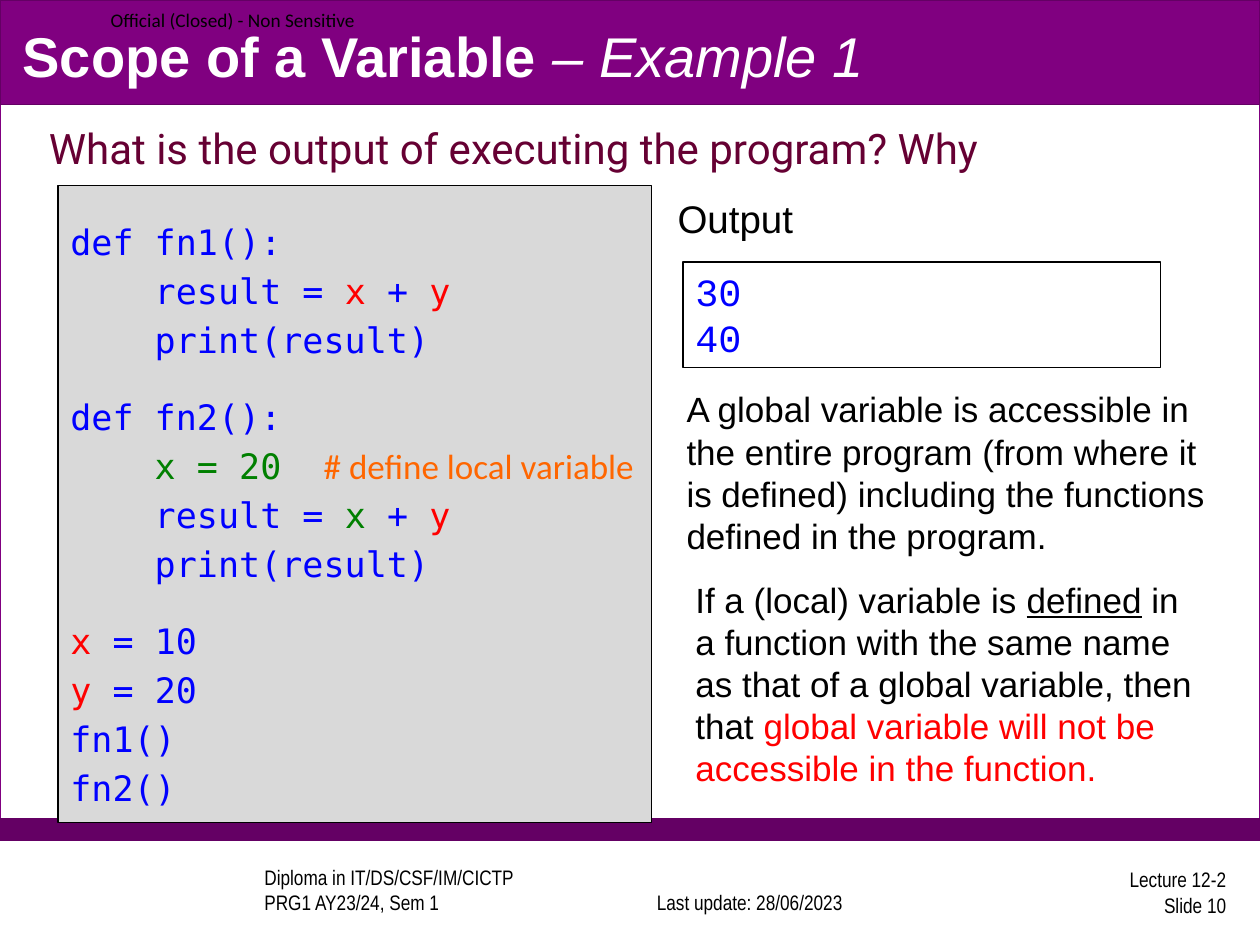
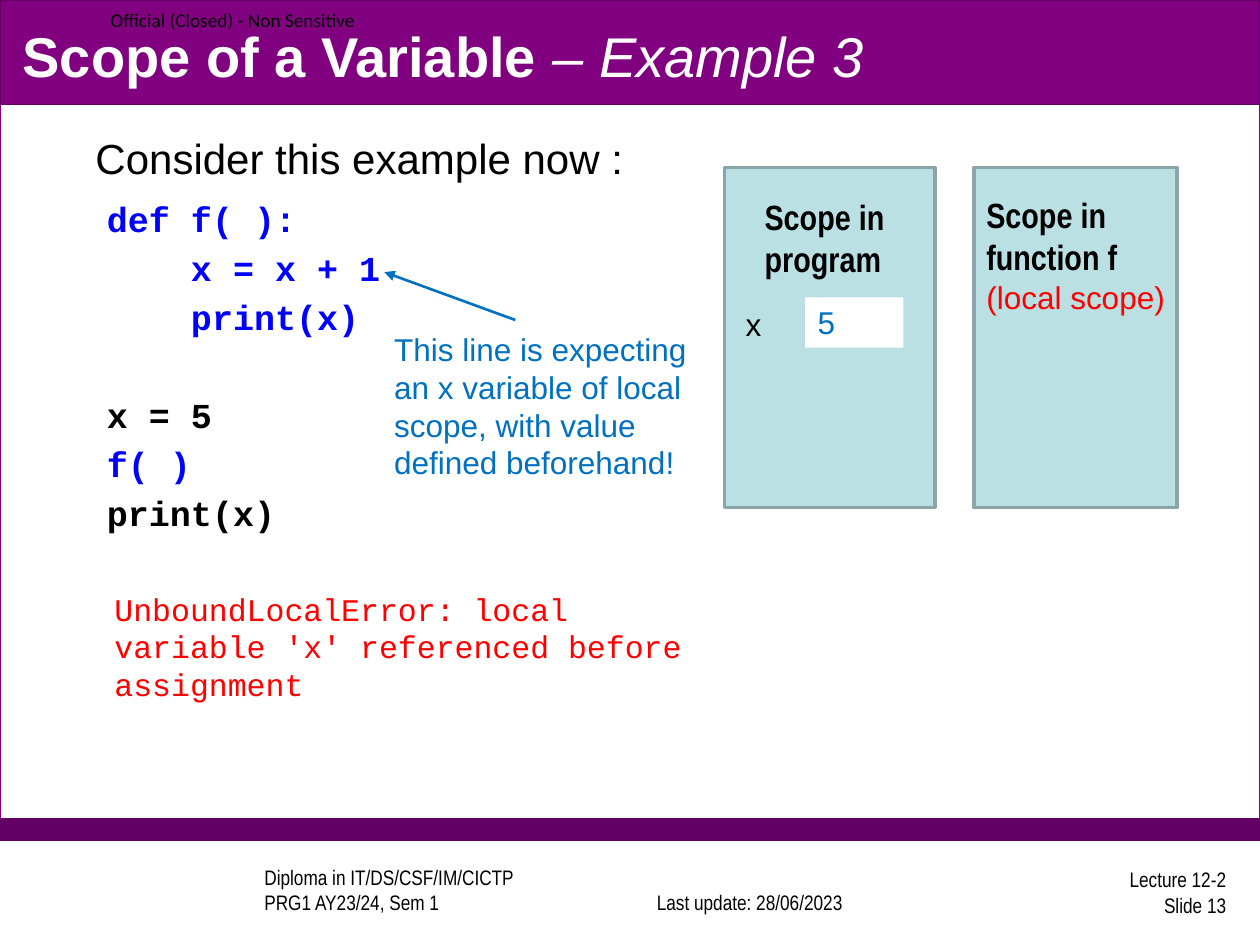
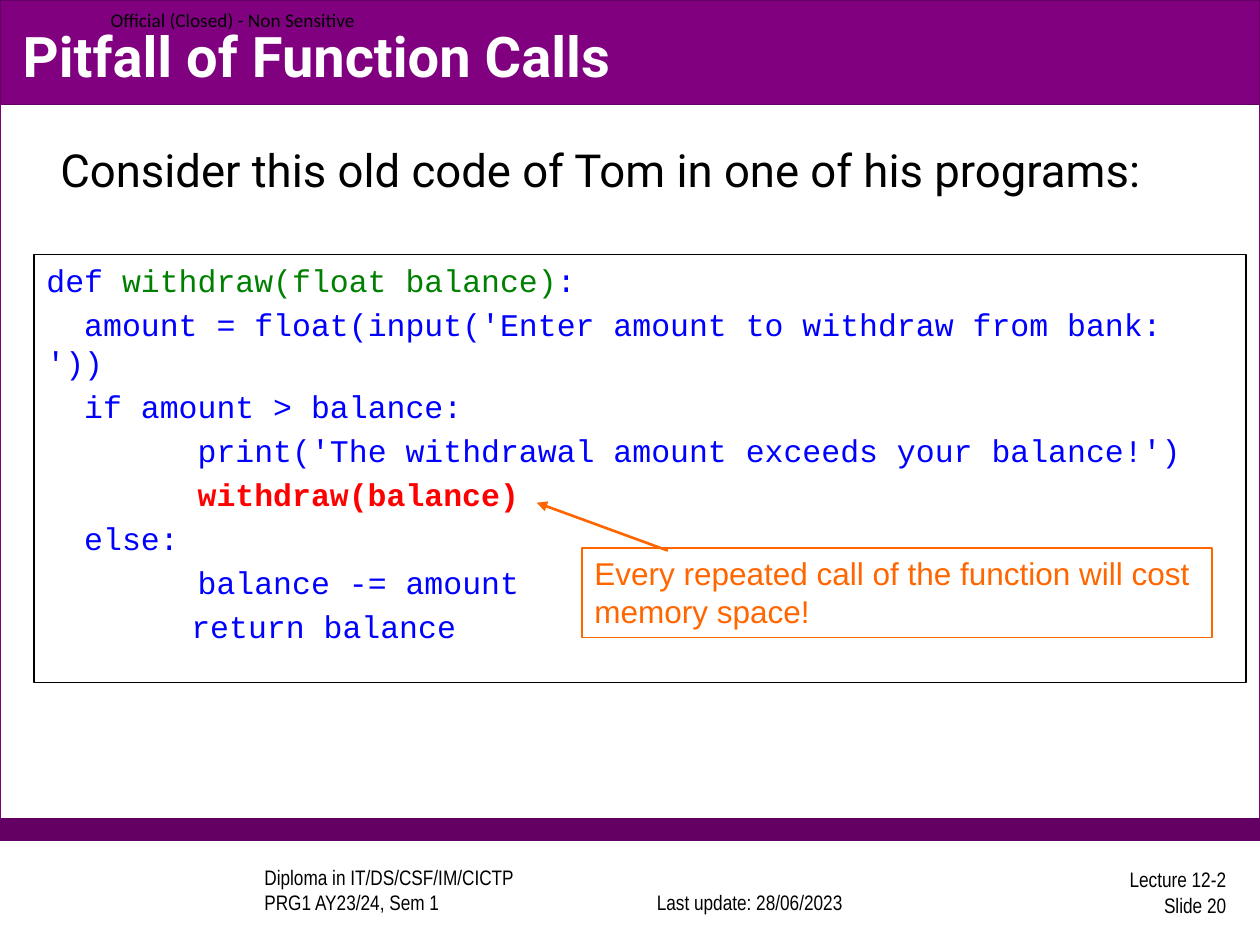
from lxml.etree import SubElement
from pptx import Presentation
from pptx.dml.color import RGBColor
from pptx.enum.shapes import MSO_CONNECTOR, MSO_SHAPE
from pptx.enum.text import MSO_ANCHOR, MSO_AUTO_SIZE, PP_ALIGN
from pptx.oxml.ns import qn
from pptx.util import Inches, Pt

WHITE = RGBColor(0xFF, 0xFF, 0xFF)
BLACK = RGBColor(0, 0, 0)
PURPLE = RGBColor(0x80, 0, 0x80)
PLUM = RGBColor(0x64, 0, 0x64)
WINE = RGBColor(0x66, 0, 0x33)
GREY = RGBColor(0xD9, 0xD9, 0xD9)
BLUE = RGBColor(0, 0, 0xFF)
RED = RGBColor(0xFF, 0, 0)
GREEN = RGBColor(0, 0x80, 0)
ORANGE = RGBColor(0xFF, 0x66, 0)
AZURE = RGBColor(0, 0x70, 0xC0)
TEAL = RGBColor(0xBB, 0xE0, 0xE3)
SLATE = RGBColor(0x8A, 0xA6, 0xA8)

SANS = "Arial"
NARROW = "Arial Narrow"
MONO = "Courier New"
CODE = "DejaVu Sans Mono"
ROBOTO = "Roboto"


def say(frame, paras, size, color=BLACK, font=SANS, bold=False, align=PP_ALIGN.LEFT,
        gap=0, wide=0, breaks=()):
    """Fill a frame; a paragraph is a string or a list of strings and (text, style) pairs.

    Paragraphs are gap points apart, and wide points before those numbered in breaks.
    """
    for num, para in enumerate(paras):
        line = frame.paragraphs[0] if num == 0 else frame.add_paragraph()
        line.alignment = align
        line.space_before = Pt(0 if num == 0 else wide if num in breaks else gap)
        for part in [para] if isinstance(para, str) else para:
            text, style = (part, {}) if isinstance(part, str) else part
            run = line.add_run()
            run.text = text
            run.font.name = style.get("font", font)
            run.font.size = Pt(style.get("size", size))
            run.font.bold = style.get("bold", bold)
            run.font.italic = style.get("italic", False)
            run.font.underline = style.get("underline", False)
            run.font.color.rgb = style.get("color", color)


def place(shape, left, top, width, height):
    shape.left, shape.top = Inches(left), Inches(top)
    shape.width, shape.height = Inches(width), Inches(height)


def add_text(slide, spot, paras, size, color=BLACK, anchor=MSO_ANCHOR.TOP, **style):
    frame = slide.shapes.add_textbox(*map(Inches, spot)).text_frame
    frame.word_wrap = True
    frame.vertical_anchor = anchor
    say(frame, paras, size, color, **style)
    return frame


def add_box(slide, spot, fill=None, line=None, weight=0.75):
    box = slide.shapes.add_shape(MSO_SHAPE.RECTANGLE, *map(Inches, spot))
    box.shadow.inherit = False
    if fill is None:
        box.fill.background()
    else:
        box.fill.solid()
        box.fill.fore_color.rgb = fill
    if line is None:
        box.line.fill.background()
    else:
        box.line.color.rgb = line
        box.line.width = Pt(weight)
    frame = box.text_frame
    frame.word_wrap = True
    frame.vertical_anchor = MSO_ANCHOR.TOP
    return frame


def add_arrow(slide, start, end, color):
    ends = map(Inches, start + end)
    arrow = slide.shapes.add_connector(MSO_CONNECTOR.STRAIGHT, *ends)
    arrow.line.color.rgb = color
    arrow.line.width = Pt(1.5)
    SubElement(arrow.line._get_or_add_ln(), qn("a:tailEnd"), type="triangle")
    SubElement(arrow._element.spPr, qn("a:effectLst"))


def set_frame(layout, slide):
    """Draw the bands and fixed labels, then move them from the slide to its layout."""
    for holder in list(layout.placeholders):
        if holder.placeholder_format.idx != 0:
            holder._element.getparent().remove(holder._element)
    add_box(slide, (0, 0, 10, 6.67), WHITE, PURPLE)
    add_box(slide, (0, 6.5, 10, 0.17), PLUM, PLUM)
    add_box(slide, (0, 0, 10, 0.83), PURPLE, PLUM)
    add_text(slide, (2, 6.89, 2.67, 0.42),
             ["Diploma in IT/DS/CSF/IM/CICTP", "PRG1 AY23/24, Sem 1"], 12,
             anchor=MSO_ANCHOR.BOTTOM, font=NARROW)
    add_text(slide, (4.91, 6.89, 2.08, 0.42), ["Last update: 28/06/2023"], 12,
             anchor=MSO_ANCHOR.BOTTOM, font=NARROW, align=PP_ALIGN.CENTER)
    add_text(slide, (0.78, 0, 2.4, 0.31), ["Official (Closed) - Non Sensitive"], 11,
             anchor=MSO_ANCHOR.MIDDLE, font="Calibri")
    for shape in list(slide.shapes):
        if not shape.is_placeholder:
            layout.shapes._spTree.append(shape._element)


def set_page(slide, title, number, font=SANS):
    head = slide.shapes.title
    place(head, 0.08, 0.13, 9.83, 0.62)
    frame = head.text_frame
    frame.word_wrap = True
    frame.auto_size = MSO_AUTO_SIZE.NONE
    frame.vertical_anchor = MSO_ANCHOR.MIDDLE
    say(frame, [title], 32, WHITE, font, bold=True)
    add_text(slide, (7.75, 6.87, 2.08, 0.42), ["Lecture 12-2", f"Slide {number}"], 12,
             anchor=MSO_ANCHOR.MIDDLE, font=NARROW, align=PP_ALIGN.RIGHT)


def scope_title(number):
    return ["Scope of a Variable ",
            (f"– Example {number}", {"bold": False, "italic": True})]


def fill_global(slide):
    set_page(slide, scope_title(1), 10)
    red, green = {"color": RED}, {"color": GREEN}
    add_text(slide, (0.29, 0.92, 9.25, 0.62),
             ["What is the output of executing the program? Why"], 24, WINE,
             font=ROBOTO, align=PP_ALIGN.JUSTIFY)
    code = add_box(slide, (0.46, 1.47, 4.71, 5.06), GREY, BLACK)
    code.margin_top = Inches(0.28)
    say(code, [
        "def fn1():",
        ["    result = ", ("x", red), " + ", ("y", red)],
        "    print(result)",
        "def fn2():",
        [("    x = 20  ", green),
         ("# define local variable", {"font": "Calibri", "color": ORANGE})],
        ["    result = ", ("x", green), " + ", ("y", red)],
        "    print(result)",
        [("x", red), " = 10"],
        [("y", red), " = 20"],
        "fn1()",
        "fn2()",
    ], 20, BLUE, CODE, gap=4, wide=20, breaks=(3, 7))
    output = add_box(slide, (5.42, 2.08, 3.79, 0.84), WHITE, BLACK)
    say(output, ["30", "40"], 22, BLUE, MONO)
    add_text(slide, (5.28, 1.5, 1.83, 0.5), ["Output"], 22)
    add_text(slide, (5.35, 3.03, 4.42, 1.45),
             ["A global variable is accessible in the entire program (from where it is "
              "defined) including the functions defined in the program."], 20)
    add_text(slide, (5.42, 4.54, 4.25, 1.78),
             [["If a (local) variable is ", ("defined", {"underline": True}),
               " in a function with the same name as that of a global variable, then that ",
               ("global variable will not be accessible in the function.", red)]], 20)


def fill_local(slide):
    set_page(slide, scope_title(3), 13)
    black = {"color": BLACK}
    add_text(slide, (0.66, 1, 4.43, 0.5), ["Consider this example now :"], 24)
    add_text(slide, (0.75, 1.52, 5.75, 3.07), [
        "def f( ):",
        "    x = x + 1",
        "    print(x)",
        [("x = 5", black)],
        "f( )",
        [("print(x)", black)],
    ], 20, BLUE, font=MONO, bold=True, gap=4, wide=32, breaks=(3,))
    error = add_box(slide, (0.81, 4.63, 5.01, 1.01), WHITE)
    say(error, ["UnboundLocalError: local variable 'x' referenced before assignment"],
        18, RED, MONO)
    for left, width in ((5.75, 1.67), (7.73, 1.61)):
        add_box(slide, (left, 1.33, width, 2.7), TEAL, SLATE, 2)
    add_text(slide, (5.97, 1.5, 1.2, 0.77), ["Scope in program"], 20,
             font=NARROW, bold=True)
    plain = {"size": 18, "font": SANS, "bold": False}
    add_text(slide, (7.73, 1.49, 1.66, 1.08),
             [["Scope in function f", (" ", plain),
               ("(local scope)", {**plain, "color": RED})]],
             20, font=NARROW, bold=True)
    add_text(slide, (5.82, 2.37, 0.5, 0.4), ["x"], 18)
    value = add_box(slide, (6.39, 2.36, 0.78, 0.4), WHITE)
    say(value, ["5"], 18, AZURE)
    add_text(slide, (3.03, 2.57, 2.75, 1.31),
             ["This line is expecting an x variable of local scope, with value "
              "defined beforehand!"], 18, AZURE)
    add_arrow(slide, (4.09, 2.54), (3.05, 2.16), AZURE)


def fill_pitfall(slide):
    set_page(slide, "Pitfall of Function Calls", 20, ROBOTO)
    add_text(slide, (0.38, 1.08, 9.25, 0.7),
             ["Consider this old code of Tom in one of his programs:"], 26, font=ROBOTO)
    code = add_box(slide, (0.27, 2.02, 9.62, 3.4), WHITE, BLACK)
    say(code, [
        ["def ", ("withdraw(float balance)", {"color": GREEN}), ":"],
        "  amount = float(input('Enter amount to withdraw from bank: '))",
        "  if amount > balance:",
        "        print('The withdrawal amount exceeds your balance!')",
        ["        ", ("withdraw(balance)", {"color": RED, "bold": True})],
        "  else:",
        "        balance -= amount",
        "return balance",
    ], 18, BLUE, MONO, gap=3.6)
    last = code.paragraphs[-1]._p.get_or_add_pPr()
    last.set("marL", str(Inches(1.15)))
    note = add_box(slide, (4.62, 4.35, 5, 0.71), line=ORANGE)
    say(note, ["Every repeated call of the function will cost memory space!"], 18, ORANGE)
    add_arrow(slide, (5.3, 4.37), (4.26, 3.99), ORANGE)


def main():
    deck = Presentation()
    deck.slide_width, deck.slide_height = Inches(10), Inches(7.5)
    layout = deck.slide_layouts[5]
    for num, fill in enumerate((fill_global, fill_local, fill_pitfall)):
        slide = deck.slides.add_slide(layout)
        if num == 0:
            set_frame(layout, slide)
        fill(slide)
    deck.save("out.pptx")


if __name__ == "__main__":
    main()
